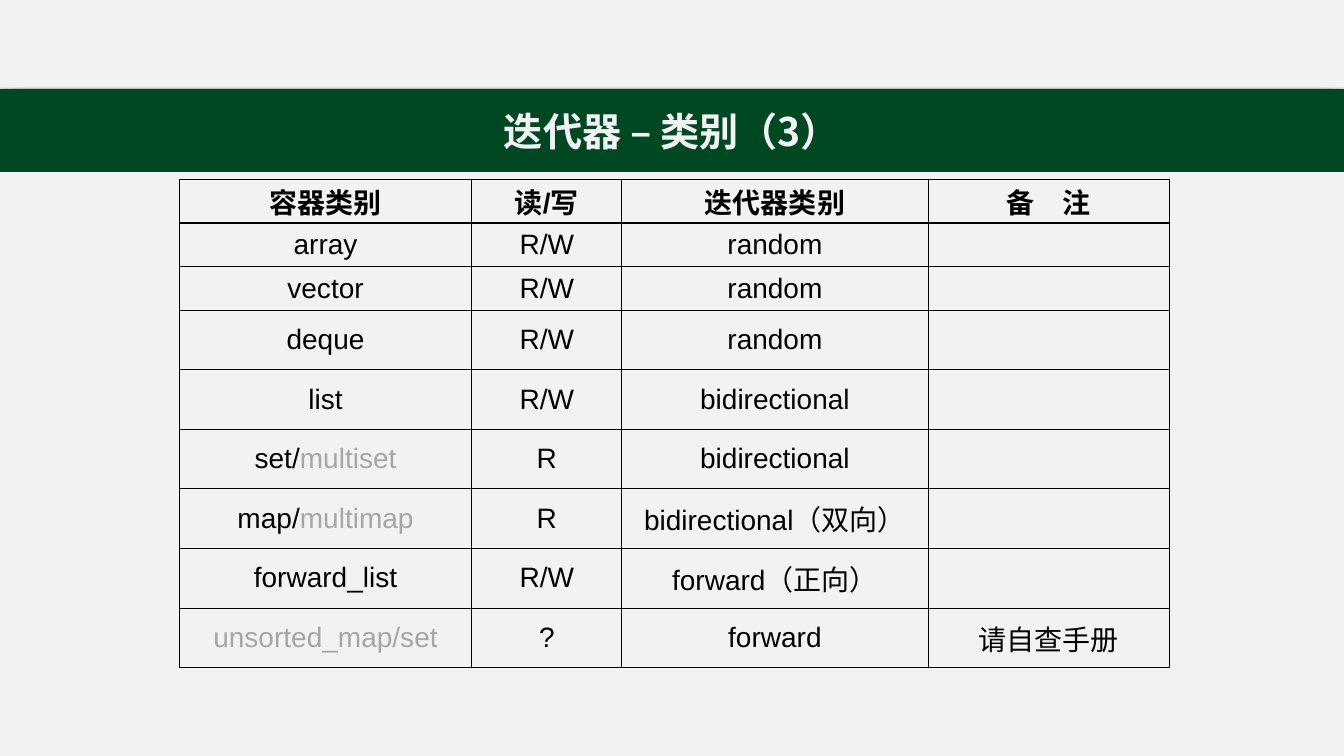
from dataclasses import dataclass

from lxml.etree import SubElement
from pptx import Presentation
from pptx.dml.color import RGBColor
from pptx.enum.shapes import MSO_SHAPE
from pptx.enum.text import MSO_ANCHOR, PP_ALIGN
from pptx.oxml.ns import qn
from pptx.slide import Slide
from pptx.table import _Cell as TableCell
from pptx.text.text import _Run as Run
from pptx.util import Cm, Pt

PAPER = RGBColor(0xF2, 0xF2, 0xF2)
GREEN = RGBColor(0x00, 0x47, 0x23)
BLACK = RGBColor(0x00, 0x00, 0x00)
GREY = RGBColor(0xA6, 0xA6, 0xA6)
LATIN_FONT = "Arial"
CJK_FONT = "Noto Sans CJK SC"
SLIDE_WIDTH = Cm(33.87)
COLUMN_WIDTHS = (7.37, 3.78, 7.72, 6.07)
COMPACT_ROWS = 3
THICK_EDGES = 4


@dataclass
class Container:
    name: str
    access: str
    iterator: str
    note: str = ""
    grey_name: str = ""


ROWS = (
    Container("容器类别", "读/写", "迭代器类别", "备　注"),
    Container("array", "R/W", "random"),
    Container("vector", "R/W", "random"),
    Container("deque", "R/W", "random"),
    Container("list", "R/W", "bidirectional"),
    Container("set/", "R", "bidirectional", grey_name="multiset"),
    Container("map/", "R", "bidirectional（双向）", grey_name="multimap"),
    Container("forward_list", "R/W", "forward（正向）"),
    Container("", "?", "forward", "请自查手册", "unsorted_map/set"),
)


def set_font(r: Run, size: int, color: RGBColor, bold: bool, name: str) -> None:
    r.font.size = Pt(size)
    r.font.bold = bold
    r.font.color.rgb = color
    r.font.name = name
    SubElement(r.font._element, qn("a:ea"), typeface=CJK_FONT)


def add_top_band(slide: Slide) -> None:
    sp = slide.shapes.add_shape(MSO_SHAPE.RECTANGLE, 0, 0, SLIDE_WIDTH, Cm(2.21))
    sp.fill.solid()
    sp.fill.fore_color.rgb = PAPER
    sp.line.fill.background()
    effects = SubElement(sp.element.spPr, qn("a:effectLst"))
    shadow = SubElement(effects, qn("a:outerShdw"), blurRad=str(Pt(18)),
                        dist=str(Pt(4)), dir="5400000", rotWithShape="0")
    color = SubElement(shadow, qn("a:srgbClr"), val=str(BLACK))
    SubElement(color, qn("a:alpha"), val="29000")


def place_title(slide: Slide, text: str) -> None:
    title = slide.shapes.title
    slide.shapes.element.append(title.element)
    title.left, title.top = 0, Cm(2.26)
    title.width, title.height = SLIDE_WIDTH, Cm(2.06)
    title.fill.solid()
    title.fill.fore_color.rgb = GREEN
    title.line.color.rgb = GREEN
    title.line.width = Pt(1)
    tf = title.text_frame
    tf.text = text
    tf.vertical_anchor = MSO_ANCHOR.MIDDLE
    p = tf.paragraphs[0]
    p.alignment = PP_ALIGN.CENTER
    set_font(p.runs[0], 28, PAPER, True, CJK_FONT)


def set_borders(cell: TableCell, top: float, bottom: float) -> None:
    props = cell._tc.get_or_add_tcPr()
    edges = {"a:lnL": 0.75, "a:lnR": 0.75, "a:lnT": top, "a:lnB": bottom}
    for position, (tag, width) in enumerate(edges.items()):
        ln = SubElement(props, qn(tag), w=str(Pt(width)))
        fill = SubElement(ln, qn("a:solidFill"))
        SubElement(fill, qn("a:srgbClr"), val=str(BLACK))
        props.insert(position, ln)


def fill_cell(cell: TableCell, text: str, grey: str, bold: bool) -> None:
    cell.fill.background()
    cell.vertical_anchor = MSO_ANCHOR.MIDDLE
    p = cell.text_frame.paragraphs[0]
    p.alignment = PP_ALIGN.CENTER
    for part, color in ((text, BLACK), (grey, GREY)):
        if part:
            r = p.add_run()
            r.text = part
            set_font(r, 20, color, bold, LATIN_FONT)


def add_container_table(slide: Slide) -> None:
    frame = slide.shapes.add_table(len(ROWS), len(COLUMN_WIDTHS), Cm(4.52),
                                   Cm(4.52), Cm(sum(COLUMN_WIDTHS)), Cm(12.3))
    table = frame.table
    table.first_row = table.horz_banding = False
    for column, width in zip(table.columns, COLUMN_WIDTHS):
        column.width = Cm(width)
    edges = [1 if i < COMPACT_ROWS or i == len(ROWS) else 0.75
             for i in range(len(ROWS) + 1)]
    for i, row in enumerate(ROWS):
        table.rows[i].height = Cm(1.1 if i < COMPACT_ROWS else 1.5)
        texts = (row.name, row.access, row.iterator, row.note)
        for j, text in enumerate(texts):
            cell = table.cell(i, j)
            fill_cell(cell, text, "" if j else row.grey_name, i == 0)
            set_borders(cell, edges[i], edges[i + 1])
            if j == 2 and i > 1:
                cell.margin_left = cell.margin_right = 0
            if i == 0:
                cell.margin_top = cell.margin_bottom = 0


def main() -> None:
    prs = Presentation()
    prs.slide_width, prs.slide_height = SLIDE_WIDTH, Cm(19.05)
    slide = prs.slides.add_slide(prs.slide_layouts[5])
    slide.background.fill.solid()
    slide.background.fill.fore_color.rgb = PAPER
    add_top_band(slide)
    place_title(slide, "迭代器 – 类别（3）")
    add_container_table(slide)
    prs.save("out.pptx")


if __name__ == "__main__":
    main()
